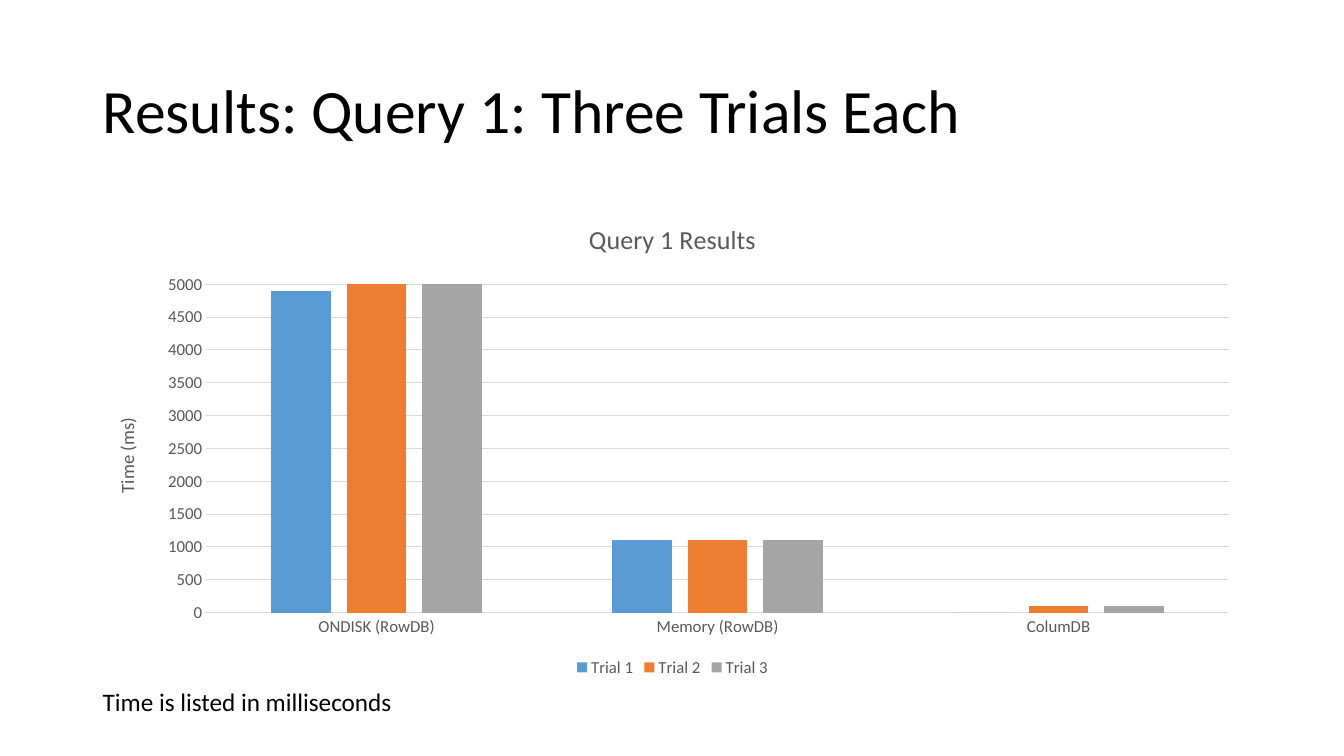
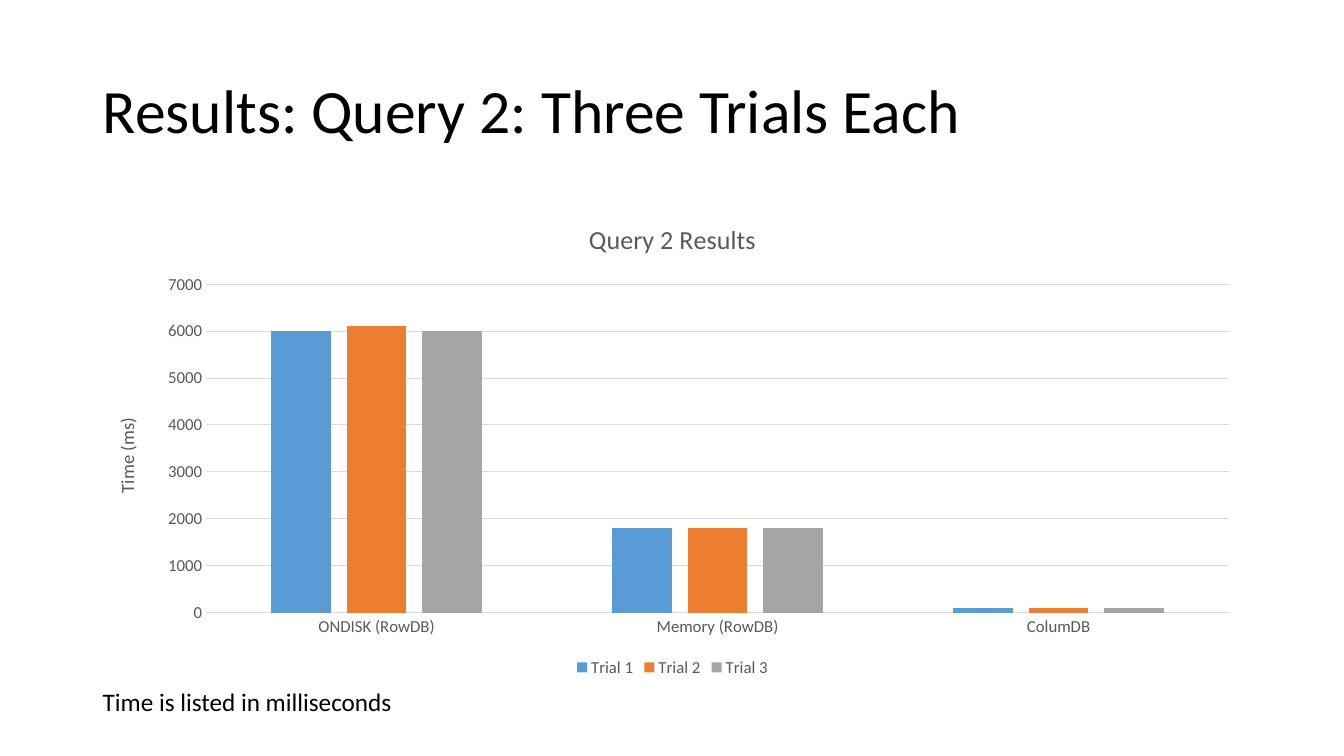
from pptx import Presentation
from pptx.chart.data import CategoryChartData
from pptx.dml.color import RGBColor
from pptx.enum.chart import XL_CHART_TYPE, XL_LEGEND_POSITION, XL_TICK_MARK
from pptx.enum.text import MSO_ANCHOR, MSO_AUTO_SIZE, PP_ALIGN
from pptx.util import Inches, Pt

HUES = {"ink": "000000", "label": "595959", "rule": "D9D9D9",
        "blue": "5B9BD5", "orange": "ED7D31", "gray": "A5A5A5"}
BARS = ("blue", "orange", "gray")
FONT = "Calibri"
LEFT, WIDE = Inches(0.92), Inches(11.5)
STORES = ("ONDISK (RowDB)", "Memory (RowDB)", "ColumDB")

# Query number, axis top, axis step, one row of times per trial
TESTS = (
    (1, 5000, 500, ((4900, 1100, 0), (5000, 1100, 100), (5000, 1100, 100))),
    (2, 7000, 1000, ((6000, 1800, 100), (6100, 1800, 100), (6000, 1800, 100))),
)


class Deck:
    """Holds the shared style and the current slide."""

    def __init__(self):
        """Start a wide presentation."""
        self.deck = Presentation()
        self.deck.slide_width = Inches(13.33)
        self.deck.slide_height = Inches(7.5)
        self.slide = None

    def hue(self, name):
        """Return a named colour."""
        return RGBColor.from_string(HUES[name])

    def style(self, font, size, hue):
        """Set the face, size and colour of a font."""
        font.name, font.size, font.bold = FONT, Pt(size), False
        font.color.rgb = self.hue(hue)

    def rule(self, line):
        """Draw a thin pale chart line."""
        line.color.rgb = self.hue("rule")
        line.width = Pt(0.75)

    def title(self, text):
        """Add a slide and fill its title."""
        self.slide = self.deck.slides.add_slide(self.deck.slide_layouts[5])
        head = self.slide.shapes.title
        head.left, head.top = LEFT, Inches(0.4)
        head.width, head.height = WIDE, Inches(1.45)
        frame = head.text_frame
        frame.text = text
        frame.vertical_anchor = MSO_ANCHOR.MIDDLE
        line = frame.paragraphs[0]
        line.alignment, line.line_spacing = PP_ALIGN.LEFT, 0.9
        self.style(line.font, 44, "ink")

    def label(self, title, text, size):
        """Fill the title of a chart or an axis."""
        frame = title.text_frame
        frame.text = text
        self.style(frame.paragraphs[0].font, size, "label")

    def chart(self, name, top, step, trials):
        """Add a column chart with one series per trial."""
        data = CategoryChartData()
        data.categories = STORES
        for num, times in enumerate(trials, 1):
            data.add_series(f"Trial {num}", times)
        chart = self.slide.shapes.add_chart(
            XL_CHART_TYPE.COLUMN_CLUSTERED, LEFT, Inches(2), WIDE,
            Inches(4.76), data).chart
        self.style(chart.font, 10, "ink")
        self.label(chart.chart_title, name, 18.6)
        self.axes(chart, top, step)
        chart.has_legend = True
        key = chart.legend
        key.position = XL_LEGEND_POSITION.BOTTOM
        key.include_in_layout = False
        self.style(key.font, 12, "label")
        plot = chart.plots[0]
        plot.gap_width, plot.overlap = 219, -27
        plot.vary_by_categories = False
        for bar, hue in zip(plot.series, BARS):
            bar.format.fill.solid()
            bar.format.fill.fore_color.rgb = self.hue(hue)

    def axes(self, chart, top, step):
        """Format both axes and the grid."""
        base, side = chart.category_axis, chart.value_axis
        for axis in (base, side):
            axis.major_tick_mark = axis.minor_tick_mark = XL_TICK_MARK.NONE
            self.style(axis.tick_labels.font, 12, "label")
        self.rule(base.format.line)
        side.format.line.fill.background()
        side.minimum_scale, side.maximum_scale = 0, top
        side.major_unit = step
        self.rule(side.major_gridlines.format.line)
        self.label(side.axis_title, "Time (ms)", 13.3)

    def note(self, text):
        """Add the line of text below the chart."""
        box = self.slide.shapes.add_textbox(
            LEFT, Inches(6.76), Inches(3.1), Inches(0.4))
        frame = box.text_frame
        frame.text = text
        frame.word_wrap = False
        frame.auto_size = MSO_AUTO_SIZE.SHAPE_TO_FIT_TEXT
        self.style(frame.paragraphs[0].font, 18, "ink")


def main():
    """Build one slide per query."""
    show = Deck()
    for num, top, step, trials in TESTS:
        show.title(f"Results: Query {num}: Three Trials Each")
        show.chart(f"Query {num} Results", top, step, trials)
        show.note("Time is listed in milliseconds")
    show.deck.save("out.pptx")


main()
